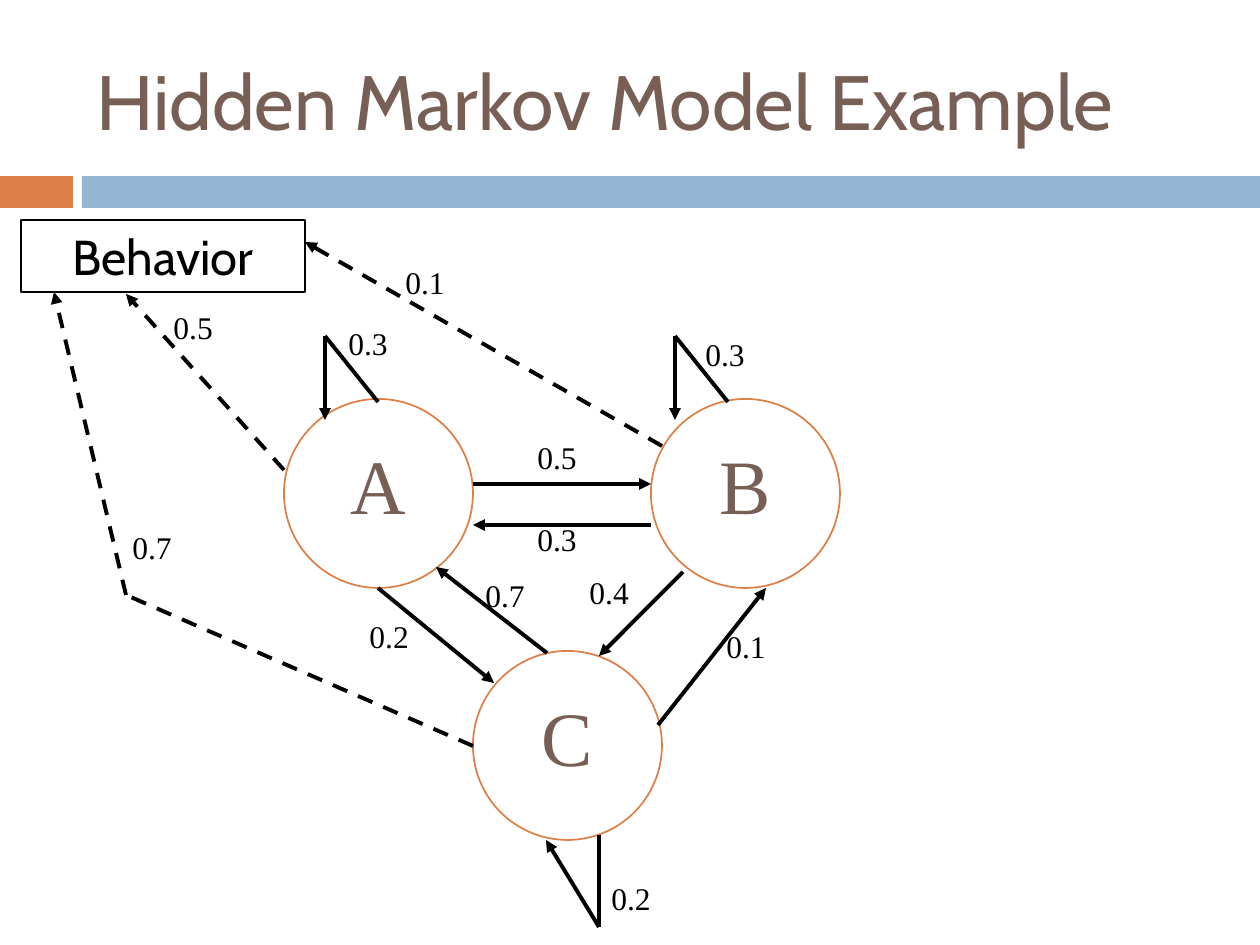
from itertools import pairwise
from pptx import Presentation
from pptx import util as u
from pptx.dml.color import RGBColor
from pptx.enum import dml, shapes, text
from pptx.oxml.ns import qn
from lxml import etree

SCALE = 914400 / 126
THEME = {
    "brown": "775F55", "orange": "DD8047", "blue": "94B6D2",
    "black": "000000", "white": "FFFFFF",
    "sans": "Cabin", "serif": "Times New Roman",
    "big": 44, "mid": 28, "small": 18,
}

NODES = [("A", 263, 179), ("B", 630, 179), ("C", 452, 431)]
MOVES = [
    ("0.2", (336, 391), [(357, 368), (473, 463)]),
    ("0.4", (556, 347), [(662, 352), (578, 436)]),
    ("0.5", (504, 212), [(452, 264), (630, 264)]),
    ("0.3", (504, 294), [(630, 305), (452, 305)]),
    ("0.7", (452, 350), [(526, 433), (415, 347)]),
    ("0.1", (693, 401), [(637, 505), (745, 368)]),
    ("0.3", (315, 98), [(357, 182), (304, 116), (304, 200)]),
    ("0.3", (672, 109), [(707, 182), (654, 116), (654, 200)]),
    ("0.2", (578, 653), [(578, 615), (578, 707), (525, 620)]),
]
EMITS = [
    ("0.5", (140, 82), [(263, 250), (105, 74)]),
    ("0.1", (372, 37), [(641, 226), (284, 22)]),
    ("0.7", (99, 302), [(452, 526), (105, 375), (33, 72)]),
]


def px(*nums):
    return [round(n * SCALE) for n in nums]


def tint(name):
    return RGBColor.from_string(THEME[name])


def write(shape, words, size="small", font="serif", color="black",
          align=text.PP_ALIGN.LEFT, anchor=text.MSO_ANCHOR.TOP):
    frame = shape.text_frame
    frame.word_wrap = True
    frame.vertical_anchor = anchor
    para = frame.paragraphs[0]
    para.alignment = align
    run = para.add_run()
    run.text = words
    run.font.size = u.Pt(THEME[size])
    run.font.name = THEME[font]
    run.font.color.rgb = tint(color)


def label(slide, box, words, **form):
    write(slide.shapes.add_textbox(*px(*box)), words, **form)


def draw(slide, kind, box, fill=None, line=None, width=1):
    shape = slide.shapes.add_shape(kind, *px(*box))
    shape.shadow.inherit = False
    if fill:
        shape.fill.solid()
        shape.fill.fore_color.rgb = tint(fill)
    else:
        shape.fill.background()
    if line:
        shape.line.color.rgb = tint(line)
        shape.line.width = u.Pt(width)
    else:
        shape.line.fill.background()
    return shape


def link(slide, start, end, dash, head):
    wire = slide.shapes.add_connector(
        shapes.MSO_CONNECTOR.STRAIGHT, *px(*start, *end))
    wire.line.color.rgb = tint("black")
    wire.line.width = u.Pt(2.25)
    if dash:
        wire.line.dash_style = dml.MSO_LINE.DASH
    if head:
        etree.SubElement(wire.line._get_or_add_ln(), qn("a:tailEnd"), type="triangle")
    etree.SubElement(wire._element.spPr, qn("a:effectLst"))


def header(slide, box):
    x, y, w, h = box
    label(slide, (x + 84, y + 32, 1124, 136), "Hidden Markov Model Example",
          size="big", font="sans", color="brown", anchor=text.MSO_ANCHOR.MIDDLE)
    for left, wide, fill in [(0, 73, "orange"), (82, w - 82, "blue")]:
        draw(slide, shapes.MSO_SHAPE.RECTANGLE, (x + left, y + h - 32, wide, 32), fill)


def node(slide, box, name):
    x, y, w, h = box
    draw(slide, shapes.MSO_SHAPE.OVAL, box, line="orange")
    label(slide, (x - 21, y + 32, w + 42, 106), name, size="big",
          color="brown", align=text.PP_ALIGN.CENTER)


def edges(slide, box, items, dash):
    x, y = box[:2]
    for odds, (left, top), points in items:
        spots = [(x + a, y + b) for a, b in points]
        for start, end in pairwise(spots):
            link(slide, start, end, dash, end == spots[-1])
        label(slide, (x + left, y + top, 84, 50), odds)


def model(slide, box):
    x, y = box[:2]
    for name, left, top in NODES:
        node(slide, (x + left, y + top, 189, 189), name)
    edges(slide, box, MOVES, False)
    goal = draw(slide, shapes.MSO_SHAPE.RECTANGLE, (x, y, 284, 72),
                "white", "black", 1.5)
    write(goal, "Behavior", size="mid", font="sans", align=text.PP_ALIGN.CENTER)
    edges(slide, box, EMITS, True)


def main():
    deck = Presentation()
    deck.slide_width, deck.slide_height = px(1260, 945)
    slide = deck.slides.add_slide(deck.slide_layouts[6])
    header(slide, (0, 0, 1260, 208))
    model(slide, (21, 220, 820, 708))
    deck.save("out.pptx")


if __name__ == "__main__":
    main()
